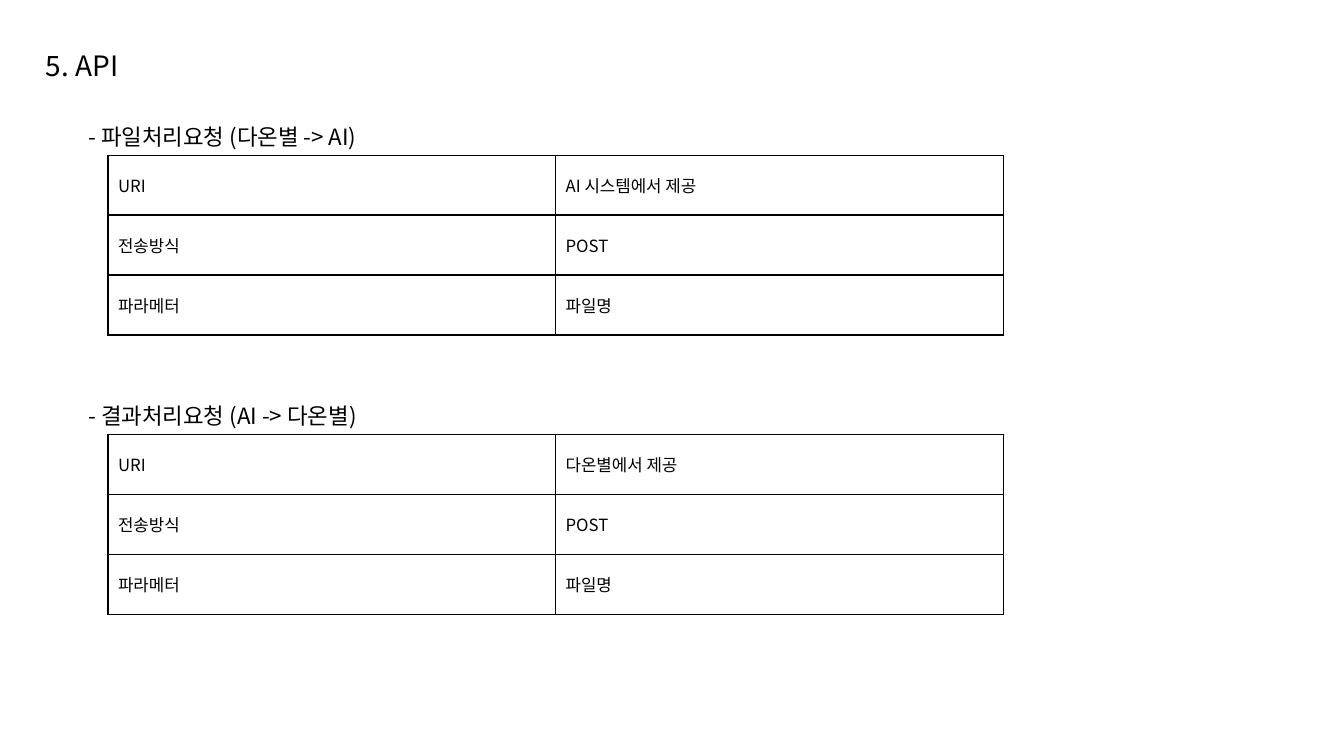
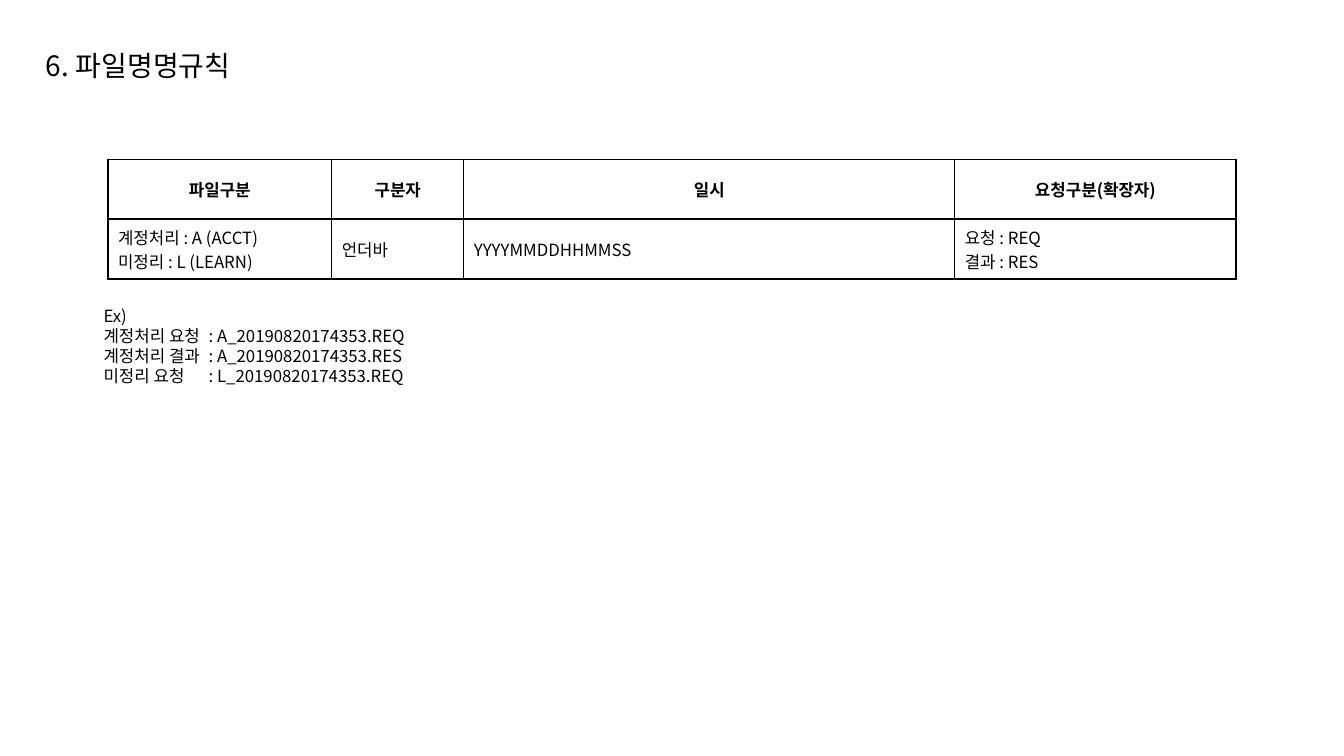
import pptx
import pptx.dml.color
import pptx.enum.text
import pptx.oxml
import pptx.oxml.ns
import pptx.util

Cm = pptx.util.Cm
Pt = pptx.util.Pt
qn = pptx.oxml.ns.qn
MSO_ANCHOR = pptx.enum.text.MSO_ANCHOR
PP_ALIGN = pptx.enum.text.PP_ALIGN

COLORS = {"ink": "000000", "paper": "FFFFFF"}
FONT = "Noto Sans CJK KR"
DRAWING = 'xmlns:a="http://schemas.openxmlformats.org/drawingml/2006/main"'


class Deck:
    """Holds the shared style and the slide being filled."""

    table_left = 2.72
    row_height = 1.51
    heading_height = 0.94

    def __init__(self):
        self.prs = pptx.Presentation()
        self.prs.slide_width = Cm(33.87)
        self.prs.slide_height = Cm(19.05)
        self.slide = None

    def new_slide(self, title):
        self.slide = self.prs.slides.add_slide(self.prs.slide_layouts[6])
        background = self.slide.background.fill
        background.solid()
        background.fore_color.rgb = self.color("paper")
        self.text(title, 0.91, 1.09, 16.03, 1.12, 20)

    def color(self, key):
        return pptx.dml.color.RGBColor.from_string(COLORS[key])

    def fill_text(self, frame, text, size, bold=False, align=PP_ALIGN.LEFT):
        frame.text = text
        for paragraph in frame.paragraphs:
            paragraph.alignment = align
            font = paragraph.font
            font.name, font.size, font.bold = FONT, Pt(size), bold
            font.color.rgb = self.color("ink")
            # Korean glyphs take the East Asian typeface
            latin = paragraph._p.pPr.find(qn("a:defRPr")).find(qn("a:latin"))
            latin.addnext(pptx.oxml.parse_xml(
                f'<a:ea {DRAWING} typeface="{FONT}"/>'))

    def text(self, text, left, top, width, height, size):
        box = self.slide.shapes.add_textbox(
            Cm(left), Cm(top), Cm(width), Cm(height))
        frame = box.text_frame
        frame.word_wrap = True
        frame.auto_size = pptx.enum.text.MSO_AUTO_SIZE.SHAPE_TO_FIT_TEXT
        self.fill_text(frame, text, size)
        return frame

    def tab_stop(self, frame, position):
        for paragraph in frame.paragraphs:
            paragraph._p.pPr.insert(0, pptx.oxml.parse_xml(
                f'<a:tabLst {DRAWING}>'
                f'<a:tab pos="{Cm(position)}" algn="l"/></a:tabLst>'))

    def heading(self, text, top):
        self.text(text, 1.98, top, 16.03, self.heading_height, 16)

    def table(self, rows, top, widths, header=False):
        table = self.slide.shapes.add_table(
            len(rows), len(widths), Cm(self.table_left), Cm(top),
            Cm(sum(widths)), Cm(self.row_height * len(rows))).table
        table.first_row = header
        table.horz_banding = False
        for column, width in zip(table.columns, widths):
            column.width = Cm(width)
        for r, row in enumerate(rows):
            table.rows[r].height = Cm(self.row_height)
            is_header = header and r == 0
            align = PP_ALIGN.CENTER if is_header else PP_ALIGN.LEFT
            for c, text in enumerate(row):
                cell = table.cell(r, c)
                cell.vertical_anchor = MSO_ANCHOR.MIDDLE
                self.fill_text(cell.text_frame, text, 12, is_header, align)
                cell.fill.background()
                self.borders(cell)

    def borders(self, cell):
        properties = cell._tc.get_or_add_tcPr()
        for i, side in enumerate(("lnL", "lnR", "lnT", "lnB")):
            properties.insert(i, pptx.oxml.parse_xml(
                f'<a:{side} {DRAWING} w="{Pt(1)}"><a:solidFill>'
                f'<a:srgbClr val="{COLORS["ink"]}"/></a:solidFill></a:{side}>'))


deck = Deck()

# API requests, one table for each direction
deck.new_slide("5. API")
requests = [
    ("- 파일처리요청 (다온별 -> AI)", "AI 시스템에서 제공", 2.97),
    ("- 결과처리요청 (AI -> 다온별)", "다온별에서 제공", 10.01),
]
for request, provider, top in requests:
    deck.heading(request, top)
    deck.table([("URI", provider), ("전송방식", "POST"), ("파라메터", "파일명")],
               top + deck.heading_height, [11.28, 11.28])

# File naming rules
deck.new_slide("6. 파일명명규칙")
naming_rules = [
    ("파일구분", "구분자", "일시", "요청구분(확장자)"),
    ("계정처리 : A (ACCT)\n미정리 : L (LEARN)", "언더바",
     "YYYYMMDDHHMMSS", "요청 : REQ\n결과 : RES"),
]
deck.table(naming_rules, 4.01, [5.64, 3.33, 12.37, 7.09], header=True)

# Example names, with the colons lined up
examples = deck.text(
    "Ex)\n"
    "계정처리 요청\t: A_20190820174353.REQ\n"
    "계정처리 결과\t: A_20190820174353.RES\n"
    "미정리 요청\t: L_20190820174353.REQ",
    2.36, 7.57, 30.05, 2.31, 12)
deck.tab_stop(examples, 2.65)

deck.prs.save("out.pptx")
